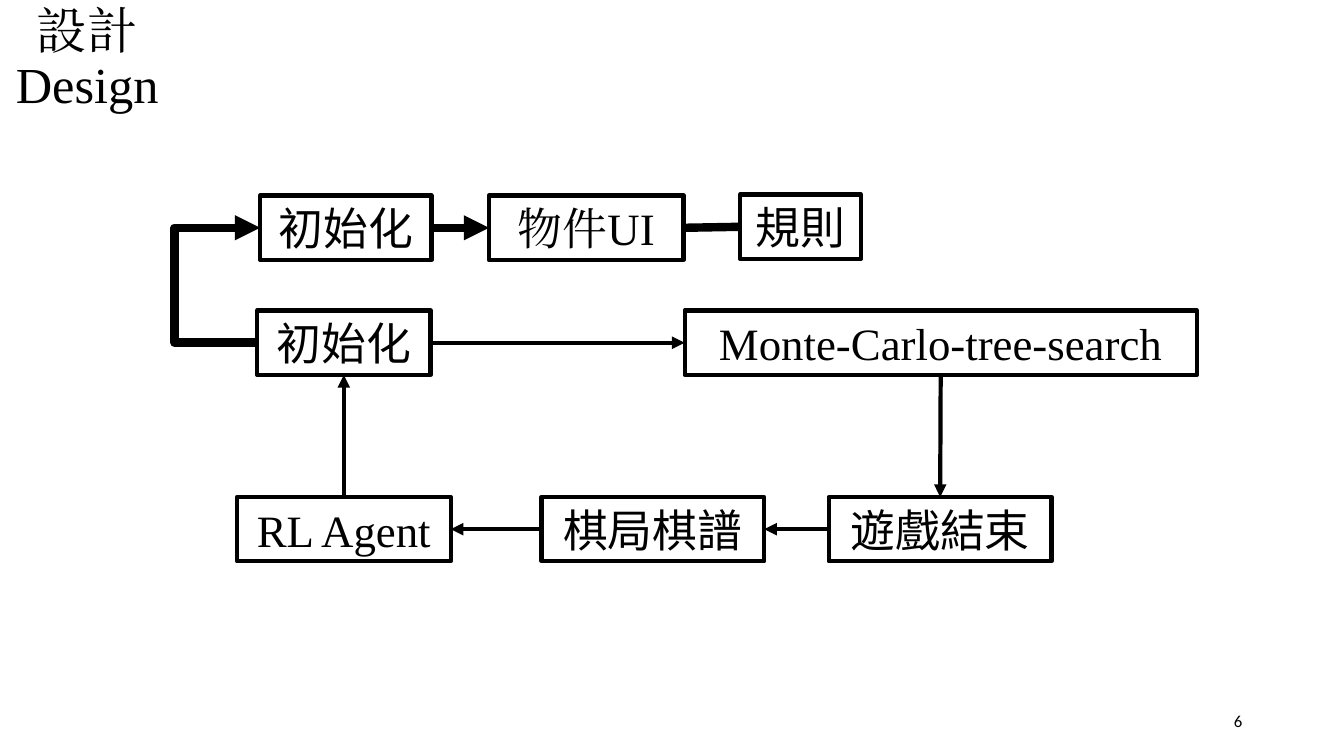
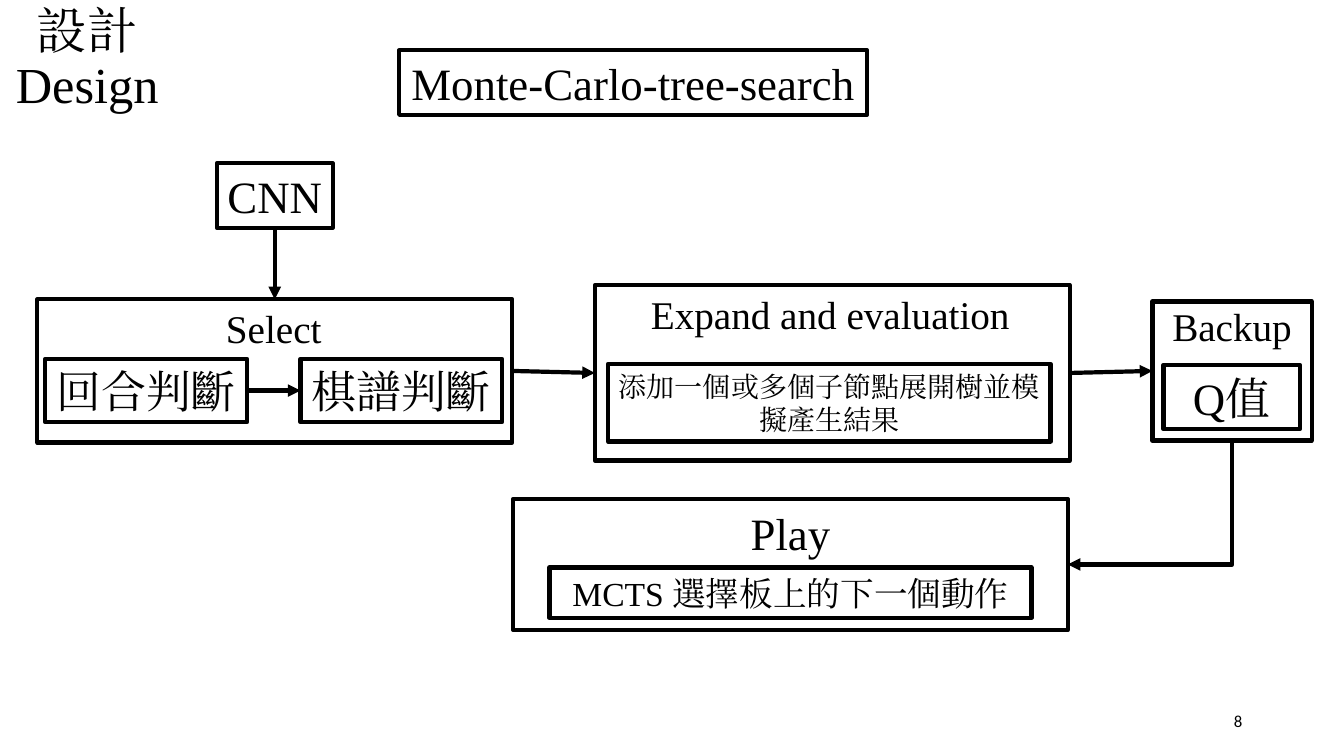
from lxml import etree
from pptx import Presentation
from pptx.dml.color import RGBColor
from pptx.enum.shapes import MSO_CONNECTOR, MSO_SHAPE
from pptx.enum.text import MSO_ANCHOR, MSO_AUTO_SIZE, PP_ALIGN
from pptx.oxml.ns import qn
from pptx.util import Emu, Pt

RECT = MSO_SHAPE.RECTANGLE
LINE, ELBOW = MSO_CONNECTOR.STRAIGHT, MSO_CONNECTOR.ELBOW
MID, TOP = MSO_ANCHOR.MIDDLE, MSO_ANCHOR.TOP
CENTER, RIGHT = PP_ALIGN.CENTER, PP_ALIGN.RIGHT
FIXED = MSO_AUTO_SIZE.NONE
UP, LEFT, DOWN, EAST = range(4)  # connection sites of a rectangle

PX = 9144  # EMU in one px: 100 px to the inch
BLACK = "000000"
SERIF, SANS, CJK = "Times New Roman", "Calibri", "Noto Sans CJK SC"
THIN, THICK = 3, 6


def px(*nums):
    return [Emu(round(n * PX)) for n in nums]


def color(code):
    return RGBColor.from_string(code)


class Deck:
    def __init__(self):
        self.prs = Presentation()
        self.prs.slide_width, self.prs.slide_height = px(1333, 750)
        self.slide = None

    def page(self, title, num):
        """Start a slide with its title and page number."""
        self.slide = self.prs.slides.add_slide(self.prs.slide_layouts[5])
        shape = self.slide.shapes.title
        shape.left, shape.top, shape.width, shape.height = px(0, 0, 173, 119)
        self.fill_in(shape, title, 36, wrap=True)
        para = shape.text_frame.paragraphs[0]
        para.line_spacing = 0.9
        for brk in para._p.findall(qn("a:br")):
            etree.SubElement(brk, qn("a:rPr")).set("sz", "3600")
        self.label(942, 695, 300, 40, num, 12, SANS, RIGHT)

    def fill_in(self, shape, text, size, font=SERIF, align=CENTER,
                anchor=MID, wrap=False):
        frame = shape.text_frame
        frame.text = text
        frame.word_wrap = wrap
        frame.auto_size = FIXED
        frame.vertical_anchor = anchor
        for para in frame.paragraphs:
            para.alignment = align
            for run in para.runs:
                run.font.size = Pt(size)
                run.font.name = font
                run.font.color.rgb = color(BLACK)
                east = etree.Element(qn("a:ea"), typeface=font)
                run.font._element.find(qn("a:latin")).addnext(east)

    def label(self, x, y, w, h, text, size, font=SERIF, align=CENTER,
              anchor=MID):
        shape = self.slide.shapes.add_textbox(*px(x, y, w, h))
        self.fill_in(shape, text, size, font, align, anchor, True)

    def box(self, x, y, w, h, text="", size=32, font=SERIF, wrap=False):
        shape = self.slide.shapes.add_shape(RECT, *px(x, y, w, h))
        shape.shadow.inherit = False
        shape.fill.background()
        shape.line.color.rgb = color(BLACK)
        shape.line.width = Pt(THIN)
        if text:
            self.fill_in(shape, text, size, font, wrap=wrap)
        return shape

    def wire(self, kind, x, y, x2, y2, width, head=True):
        link = self.slide.shapes.add_connector(kind, *px(x, y, x2, y2))
        link.line.color.rgb = color(BLACK)
        link.line.width = Pt(width)
        props = link._element.spPr
        if head:
            etree.SubElement(props.find(qn("a:ln")), qn("a:tailEnd"),
                             type="triangle")
        etree.SubElement(props, qn("a:effectLst"))
        return link

    def join(self, a, start, b, end, width=THIN, head=True):
        """Straight line from a side of one box to a side of another."""
        link = self.wire(LINE, 0, 0, 1, 1, width, head)
        link.begin_connect(a, start)
        link.end_connect(b, end)

    def loop(self, x, y, x2, y2, mid, width):
        """Elbow whose upright part stands at mid."""
        link = self.wire(ELBOW, x, y, x2, y2, width)
        ratio = round((mid - x) / (x2 - x) * 100000)
        shape = link._element.spPr.find(qn("a:prstGeom"))
        guides = shape.find(qn("a:avLst"))
        if guides is None:
            guides = etree.SubElement(shape, qn("a:avLst"))
        etree.SubElement(guides, qn("a:gd"), name="adj1", fmla=f"val {ratio}")

    def turn(self, x, y, x2, y2, width=THIN):
        """One corner: down first, then left."""
        w, h = y2 - y, x - x2
        left, top = (x + x2 - w) / 2, (y + y2 - h) / 2
        link = self.wire(ELBOW, left, top, left + w, top + h, width)
        props = link._element.spPr
        props.find(qn("a:xfrm")).set("rot", "5400000")
        props.find(qn("a:prstGeom")).set("prst", "bentConnector2")


def flow(deck):
    deck.page("設計\vDesign", "6")

    # Setup row
    init = deck.box(258, 194, 170, 64, "初始化", font=CJK)
    view = deck.box(485, 194, 193, 64, "物件UI")
    rules = deck.box(734, 193, 120, 64, "規則", font=CJK)
    deck.join(init, EAST, view, LEFT, THICK)
    deck.join(view, EAST, rules, LEFT, THICK, head=False)

    # Training cycle
    start = deck.box(255, 308, 172, 64, "初始化", font=CJK)
    search = deck.box(679, 308, 508, 64, "Monte-Carlo-tree-search")
    over = deck.box(822, 493, 221, 64, "遊戲結束", font=CJK)
    record = deck.box(537, 493, 221, 64, "棋局棋譜", font=CJK)
    agent = deck.box(235, 493, 212, 64, "RL Agent")
    deck.join(start, EAST, search, LEFT)
    deck.join(search, DOWN, over, UP)
    deck.join(over, LEFT, record, EAST)
    deck.join(record, LEFT, agent, EAST)
    deck.join(agent, UP, start, DOWN)
    deck.loop(255, 340, 258, 226, 173, THICK)


def tree(deck):
    deck.page("設計\vDesign", "8")
    deck.box(396, 50, 464, 64, "Monte-Carlo-tree-search")
    net = deck.box(215, 162, 115, 64, "CNN")

    # Select
    select = deck.box(37, 297, 471, 142)
    deck.label(36, 297, 471, 56, "Select", 28)
    turn = deck.box(45, 356, 200, 63, "回合判斷")
    game = deck.box(298, 356, 200, 63, "棋譜判斷")
    deck.join(turn, EAST, game, LEFT)

    # Expand
    expand = deck.box(590, 283, 471, 174)
    deck.label(588, 283, 471, 57, "Expand and evaluation", 28)
    deck.box(603, 361, 439, 77, "添加一個或多個子節點展開樹並模擬產生結果",
             20, wrap=True)

    # Backup
    backup = deck.box(1143, 299, 158, 138)
    deck.label(1143, 295, 158, 57, "Backup", 28, anchor=TOP)
    deck.box(1154, 362, 135, 64, "Q值")

    # Play
    deck.box(509, 495, 550, 130)
    deck.label(510, 497, 548, 64, "Play", 32, anchor=TOP)
    deck.box(545, 563, 478, 50, "MCTS 選擇板上的下一個動作", 24)

    # Links between the stages
    deck.join(net, DOWN, select, UP)
    deck.join(select, EAST, expand, LEFT)
    deck.join(expand, EAST, backup, LEFT)
    deck.turn(1222, 437, 1059, 560)


def main():
    deck = Deck()
    flow(deck)
    tree(deck)
    deck.prs.save("out.pptx")


if __name__ == "__main__":
    main()
